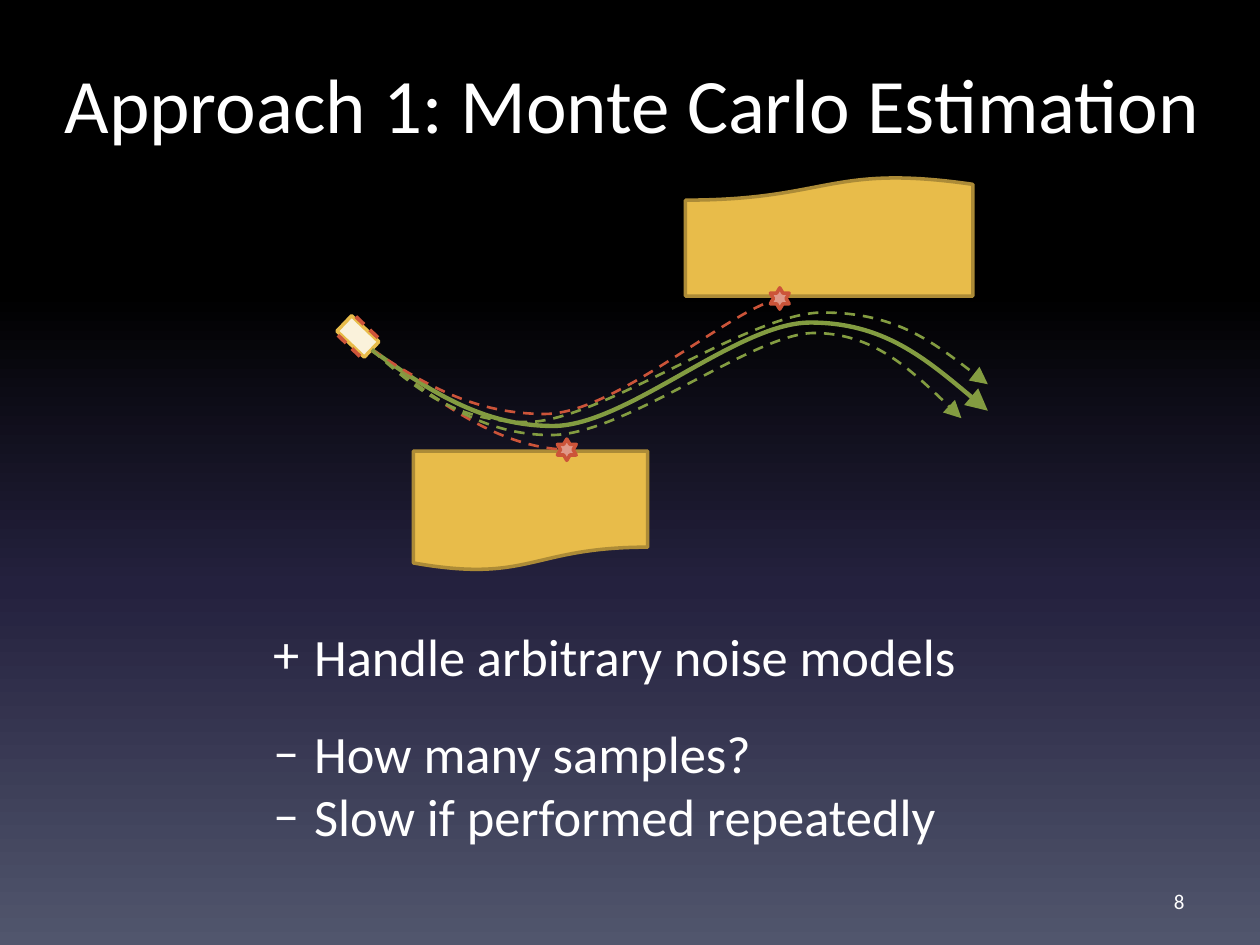
import itertools
import math
from dataclasses import dataclass

import lxml.etree
import pptx
import pptx.dml.color
import pptx.enum.dml
import pptx.enum.shapes
import pptx.enum.text
import pptx.oxml.ns
import pptx.util

Pt = pptx.util.Pt
qn = pptx.oxml.ns.qn
Shape = pptx.enum.shapes.MSO_SHAPE
Align = pptx.enum.text.PP_ALIGN
Anchor = pptx.enum.text.MSO_ANCHOR


@dataclass(frozen=True)
class Theme:
    font: str = "Calibri"
    text: str = "FFFFFF"
    title_size: int = 44
    body_size: int = 30
    number_size: int = 12
    backdrop: tuple = ((0, "000000"), (31, "000000"), (62, "24213E"), (100, "51566D"))
    obstacle: str = "E8BC4A"
    obstacle_edge: str = "AC8B37"
    car: str = "FAF2DB"
    collision: str = "CC5439"
    collision_fill: str = "E09888"
    safe: str = "839C41"


THEME = Theme()


@dataclass(frozen=True)
class Waypoint:
    """A point on a path; with a reach, the path runs level there."""
    x: float
    y: float
    reach: float = 0


def color(code):
    return pptx.dml.color.RGBColor.from_string(code)


def set_values(target, values):
    for name, value in values.items():
        setattr(target, name, value)


def add_backdrop(page):
    page.background.fill.gradient()
    gradient = page.element.find(".//" + qn("a:gradFill"))
    for child in list(gradient):
        gradient.remove(child)
    stops = lxml.etree.SubElement(gradient, qn("a:gsLst"))
    for percent, code in THEME.backdrop:
        stop = lxml.etree.SubElement(stops, qn("a:gs"), pos=str(percent * 1000))
        lxml.etree.SubElement(stop, qn("a:srgbClr"), val=code)
    lxml.etree.SubElement(gradient, qn("a:lin"), ang="5400000", scaled="0")


def add_text(page, box, lines, size, align, anchor=Anchor.TOP):
    """Lines are (bullet, text, space before)."""
    frame = page.shapes.add_textbox(*map(Pt, box)).text_frame
    set_values(frame, {"word_wrap": True, "vertical_anchor": anchor})
    for index, (bullet, text, gap) in enumerate(lines):
        para = frame.paragraphs[0] if index == 0 else frame.add_paragraph()
        para.alignment = align
        if gap:
            para.space_before = Pt(gap)
        if bullet:
            props = para._p.get_or_add_pPr()
            hang = Pt(23.4)
            props.set("marL", str(hang))
            props.set("indent", str(-hang))
            lxml.etree.SubElement(props, qn("a:buFont"), typeface=THEME.font)
            lxml.etree.SubElement(props, qn("a:buChar"), char=bullet)
        span = para.add_run()
        span.text = text
        set_values(span.font, {"name": THEME.font, "size": Pt(size)})
        span.font.color.rgb = color(THEME.text)


def add_figure(shapes, kind, box, fill, line=None, rotation=0):
    figure = shapes.add_shape(kind, *map(Pt, box))
    figure.shadow.inherit = False
    figure.rotation = rotation
    figure.fill.solid()
    figure.fill.fore_color.rgb = color(fill)
    if line:
        figure.line.color.rgb = color(line)
        figure.line.width = Pt(2)
    else:
        figure.line.fill.background()


def curve_points(waypoints):
    """Start point, then two handles and an end point for each leg."""
    points = [(waypoints[0].x, waypoints[0].y)]
    for start, end in itertools.pairwise(waypoints):
        leave = (start.x + start.reach, start.y)
        arrive = (end.x - end.reach, end.y)
        # A free end aims at the handle of its neighbour, halfway there
        halfway = ((leave[0] + arrive[0]) / 2, (leave[1] + arrive[1]) / 2)
        points += [leave if start.reach else halfway,
                   arrive if end.reach else halfway,
                   (end.x, end.y)]
    return points


def add_path(page, origin, waypoints, code, width=1.5, dashed=True, arrow=False):
    spots = [(Pt(origin[0] + x), Pt(origin[1] + y)) for x, y in curve_points(waypoints)]
    builder = page.shapes.build_freeform(*spots[0])
    builder.add_line_segments(spots[1:], close=False)
    curve = builder.convert_to_shape()
    curve.shadow.inherit = False
    curve.fill.background()
    curve.line.color.rgb = color(code)
    curve.line.width = Pt(width)
    if dashed:
        curve.line.dash_style = pptx.enum.dml.MSO_LINE.DASH
    if arrow:
        outline = curve.element.find(".//" + qn("a:ln"))
        lxml.etree.SubElement(outline, qn("a:tailEnd"), type="triangle", w="lg", len="lg")
    # Turn each three straight segments into one cubic segment
    track = curve.element.find(".//" + qn("a:path"))
    straights = track.findall(qn("a:lnTo"))
    for first in range(0, len(straights), 3):
        cubic = lxml.etree.SubElement(track, qn("a:cubicBezTo"))
        for straight in straights[first:first + 3]:
            cubic.append(straight[0])
            track.remove(straight)


def add_car(page, box, angle=43.7):
    left, top, width, height = box
    middle_x, middle_y = left + width / 2, top + height / 2
    wheel_width, wheel_height = 6.5, 2.2
    shapes = page.shapes.add_group_shape().shapes
    add_figure(shapes, Shape.RECTANGLE, box, THEME.car, THEME.obstacle, angle)
    cos, sin = math.cos(math.radians(angle)), math.sin(math.radians(angle))
    for along, across in itertools.product((-5.5, 5.5), (-7.4, 7.4)):
        x = middle_x + along * cos - across * sin
        y = middle_y + along * sin + across * cos
        wheel = (x - wheel_width / 2, y - wheel_height / 2, wheel_width, wheel_height)
        add_figure(shapes, Shape.RECTANGLE, wheel, THEME.collision, rotation=angle)


def add_obstacle(page, box, rotation=0):
    add_figure(page.shapes, Shape.FLOWCHART_DOCUMENT, box,
               THEME.obstacle, THEME.obstacle_edge, rotation)


def add_collision(page, x, y, width=10.8, height=12.2):
    add_figure(page.shapes, Shape.STAR_6_POINT, (x - width / 2, y - height / 2, width, height),
               THEME.collision_fill, THEME.collision)


def add_diagram(page, box):
    left, top = origin = box[:2]
    nose = Waypoint(22.5, 100)
    bend = 42

    # Planned path: down to a dip, up to a crest, on to the goal
    add_car(page, (left + 3.7, top + 86.2, 21.6, 12.2))
    planned = [nose, Waypoint(126.1, 143.4, bend), Waypoint(273, 84.3, bend),
               Waypoint(374.5, 134.7)]
    add_path(page, origin, planned, THEME.safe, width=2.5, dashed=False, arrow=True)

    # Obstacles below the dip and above the crest
    add_obstacle(page, (left + 46.2, top + 157.8, 133.9, 68.4))
    add_obstacle(page, (left + 201.7, top + 0.8, 164.2, 68.4), rotation=180)

    # Sampled paths that end on an obstacle
    hit_lower = [nose, Waypoint(136.9, 157, bend)]
    hit_upper = [nose, Waypoint(121.4, 136.6, bend), Waypoint(258.6, 70.6, 25)]
    for sample in (hit_lower, hit_upper):
        add_path(page, origin, sample, THEME.collision)
        crash = sample[-1]
        add_collision(page, left + crash.x - 3, top + crash.y)

    # Sampled paths that stay clear
    safe_lower = [nose, Waypoint(124.9, 148.6, bend), Waypoint(275, 90.3, 34),
                  Waypoint(359.4, 139)]
    safe_upper = [nose, Waypoint(111, 141.2, bend), Waypoint(280, 78.6, bend),
                  Waypoint(374.5, 119.6)]
    for sample in (safe_lower, safe_upper):
        add_path(page, origin, sample, THEME.safe, arrow=True)


def main():
    deck = pptx.Presentation()
    set_values(deck, {"slide_width": Pt(720), "slide_height": Pt(540)})
    page = deck.slides.add_slide(deck.slide_layouts[6])
    add_backdrop(page)
    # Slide number and title
    add_text(page, (516.2, 500.4, 167.8, 28.8), [(None, "8", 0)],
             THEME.number_size, Align.RIGHT, Anchor.MIDDLE)
    add_text(page, (18, 28.8, 686.9, 90), [(None, "Approach 1: Monte Carlo Estimation", 0)],
             THEME.title_size, Align.CENTER)
    add_diagram(page, (190, 100, 375, 227))
    # Pros and cons
    add_text(page, (149, 352.8, 408.2, 135.4), [
        ("+", "Handle arbitrary noise models", 0),
        ("–", "How many samples?", 19.5),
        ("–", "Slow if performed repeatedly", 0),
    ], THEME.body_size, Align.LEFT)
    deck.save("out.pptx")


if __name__ == "__main__":
    main()
